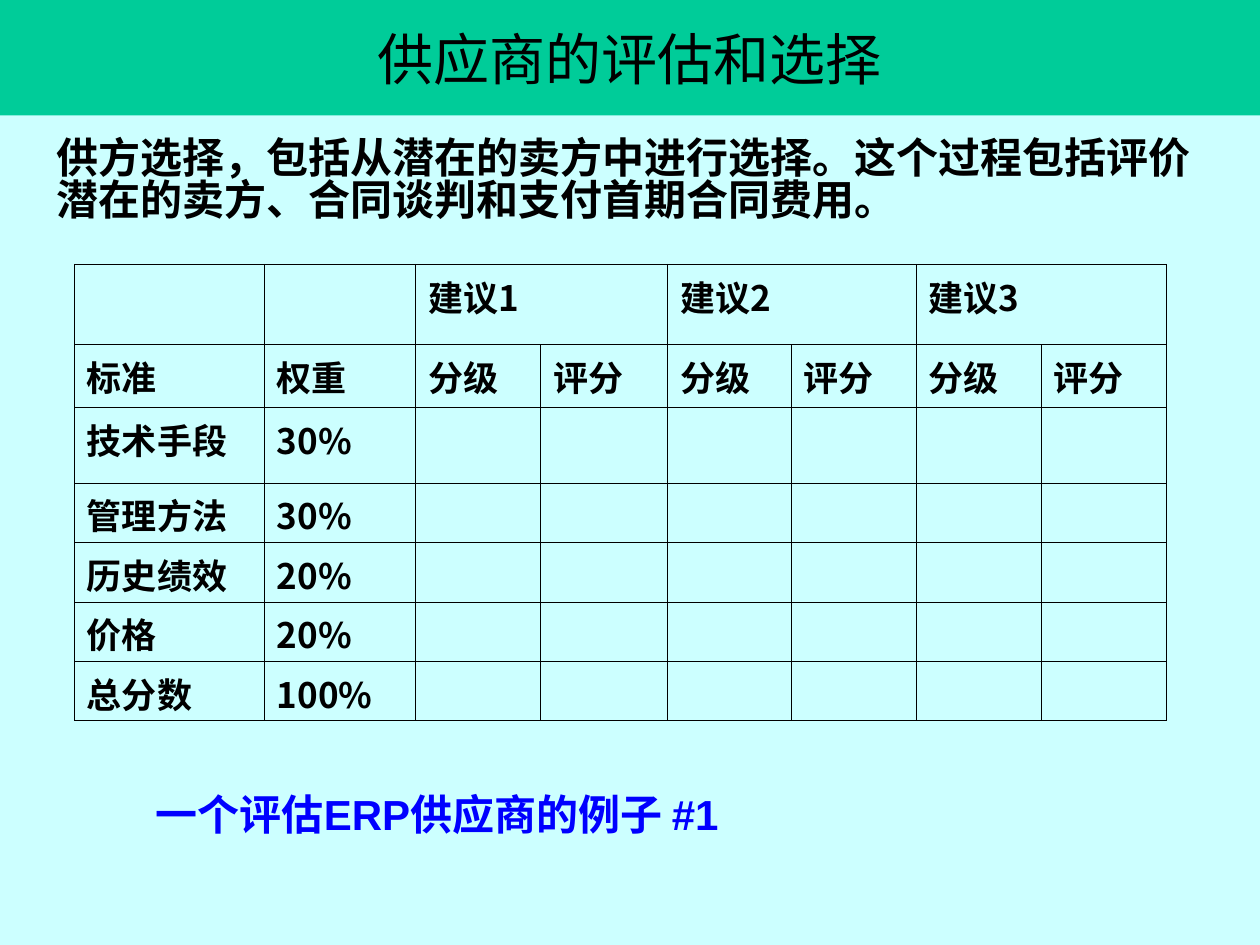
"""Build a slide on supplier evaluation with a weighted scoring table."""
from lxml import etree
from pptx import Presentation
from pptx.dml.color import RGBColor
from pptx.enum.shapes import MSO_SHAPE
from pptx.enum.text import MSO_ANCHOR, PP_ALIGN
from pptx.oxml.ns import qn
from pptx.util import Pt

RECTANGLE = MSO_SHAPE.RECTANGLE
MIDDLE = MSO_ANCHOR.MIDDLE
LEFT, CENTER = PP_ALIGN.LEFT, PP_ALIGN.CENTER

BLACK = RGBColor(0x00, 0x00, 0x00)
BLUE = RGBColor(0x00, 0x00, 0xFF)
GREEN = RGBColor(0x00, 0xCC, 0x99)
PALE_CYAN = RGBColor(0xCC, 0xFF, 0xFF)
CHINESE_FONT = "Noto Sans CJK SC"


def write_text(frame, text, size, font=CHINESE_FONT, color=BLACK, bold=True,
               align=LEFT, space_before=0, line_spacing=1.0):
    frame.word_wrap = True
    paragraph = frame.paragraphs[0]
    paragraph.alignment = align
    paragraph.space_before = Pt(space_before)
    paragraph.line_spacing = line_spacing
    run = paragraph.add_run()
    run.text = text
    run.font.size = Pt(size)
    run.font.bold = bold
    run.font.color.rgb = color
    run.font.name = font
    etree.SubElement(run.font._element, qn("a:ea"), typeface=CHINESE_FONT)


def draw_borders(cell):
    properties = cell._tc.get_or_add_tcPr()
    for position, side in enumerate(("a:lnL", "a:lnR", "a:lnT", "a:lnB")):
        line = etree.Element(qn(side), w=str(Pt(0.45)))
        fill = etree.SubElement(line, qn("a:solidFill"))
        etree.SubElement(fill, qn("a:srgbClr"), val=str(BLACK))
        properties.insert(position, line)


presentation = Presentation()
presentation.slide_width = Pt(720)
presentation.slide_height = Pt(540)
slide = presentation.slides.add_slide(presentation.slide_layouts[6])
slide.background.fill.solid()
slide.background.fill.fore_color.rgb = PALE_CYAN

title = slide.shapes.add_shape(RECTANGLE, Pt(0), Pt(0), Pt(720), Pt(66))
title.shadow.inherit = False
title.fill.solid()
title.fill.fore_color.rgb = GREEN
title.line.fill.background()
title.text_frame.vertical_anchor = MIDDLE
write_text(title.text_frame, "供应商的评估和选择", 32,
           font="Times New Roman", bold=False, align=CENTER)

introduction = slide.shapes.add_textbox(Pt(25), Pt(77), Pt(676), Pt(67))
write_text(introduction.text_frame,
           "供方选择，包括从潜在的卖方中进行选择。这个过程包括评价潜在的卖方、合同谈判和支付首期合同费用。",
           24, font="Times New Roman", space_before=6, line_spacing=0.82)

column_widths = [108.5, 86.5, 71.5, 72.5, 70.5, 71.5, 71.5, 71.5]
row_heights = [46, 36, 43, 34, 34, 34, 34]
table_rows = [
    ["", "", "建议1", "", "建议2", "", "建议3", ""],
    ["标准", "权重"] + ["分级", "评分"] * 3,
    ["技术手段", "30%"],
    ["管理方法", "30%"],
    ["历史绩效", "20%"],
    ["价格", "20%"],
    ["总分数", "100%"],
]
table = slide.shapes.add_table(
    len(row_heights), len(column_widths), Pt(42.5), Pt(151),
    Pt(sum(column_widths)), Pt(sum(row_heights))).table
table.first_row = False
table.horz_banding = False
for column, width in zip(table.columns, column_widths):
    column.width = Pt(width)
for row, height in zip(table.rows, row_heights):
    row.height = Pt(height)
for cell in table.iter_cells():
    cell.fill.background()
    draw_borders(cell)
for first in (2, 4, 6):
    table.cell(0, first).merge(table.cell(0, first + 1))
for row_index, texts in enumerate(table_rows):
    for column_index, text in enumerate(texts):
        if text:
            write_text(table.cell(row_index, column_index).text_frame, text, 20)

caption = slide.shapes.add_textbox(Pt(82), Pt(447), Pt(442), Pt(36))
write_text(caption.text_frame, "一个评估ERP供应商的例子 #1", 24,
           font="Arial", color=BLUE)

presentation.save("out.pptx")
